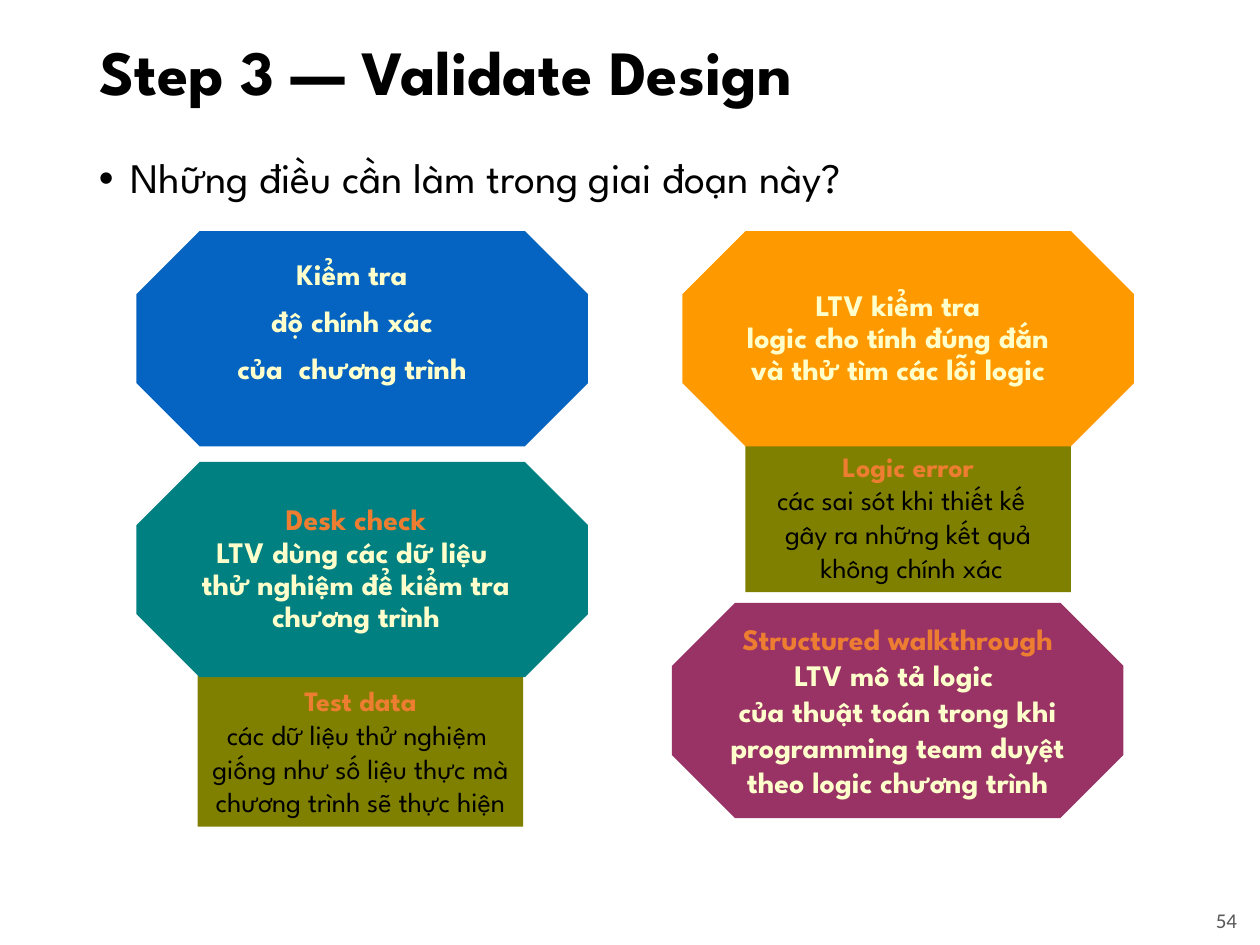
from dataclasses import dataclass

from lxml.etree import SubElement
from pptx import Presentation
from pptx.dml.color import RGBColor
from pptx.enum.shapes import MSO_SHAPE as Shape
from pptx.enum.text import MSO_ANCHOR as Anchor, MSO_AUTO_SIZE as AutoSize, PP_ALIGN as Align
from pptx.oxml.ns import qn
from pptx.util import Pt


@dataclass(frozen=True)
class Theme:
    font: str = "League Spartan"
    number_font: str = "Calibri"
    title_size: int = 36
    question_size: int = 24
    step_size: int = 17
    note_size: int = 16
    number_size: int = 12
    ink: str = "000000"
    grey: str = "595959"
    cream: str = "FFFFCC"
    term: str = "ED7D31"
    note_fill: str = "808000"
    blue: str = "0563C1"
    orange: str = "FF9900"
    teal: str = "008080"
    plum: str = "993366"


THEME = Theme()
STEP_SIZE = (258, 123)
NOTE_SIZE = (186, 86.4)
CORNER = 0.293
TIGHT = 0.9

TITLE = "Step 3 — Validate Design"
QUESTION = "Những điều cần làm trong giai đoạn này?"
PAGE_NUMBER = "54"

NOTES = [
    {"at": (426, 252), "term": "Logic error",
     "lines": ["các sai sót khi thiết kế  ", "gây ra những kết quả", " không chính xác"]},
    {"at": (113, 386), "term": "Test data",
     "lines": ["các dữ liệu thử nghiệm ",
               "giống như số liệu thực mà chương trình sẽ thực hiện"]},
]

STEPS = [
    {"at": (78, 132), "fill": THEME.blue, "insets": (0, 0, 7.2, 18), "gap": 8.5,
     "lines": ["Kiểm tra ", "độ chính xác ", "của  chương trình "]},
    {"at": (390, 132), "fill": THEME.orange, "insets": (0, 0, 7.2, 0),
     "lines": ["LTV kiểm tra ", "logic cho tính đúng đắn ", "và thử tìm các lỗi logic "]},
    {"at": (78, 264), "fill": THEME.teal, "insets": (0, 0, 7.2, 0), "term": "Desk check",
     "lines": ["LTV dùng các dữ liệu ", "thử nghiệm để kiểm tra chương trình"]},
    {"at": (384, 344.5), "fill": THEME.plum, "insets": (0, 0, 0, 0), "spacing": 1.0,
     "term": "Structured walkthrough",
     "lines": ["LTV mô tả logic ",
               "của thuật toán trong khi programming team duyệt theo logic chương trình"]},
]


def style(run, size, color, bold=False, font=THEME.font):
    run.font.name = font
    run.font.size = Pt(size)
    run.font.bold = bold
    run.font.color.rgb = RGBColor.from_string(color)


def place(shape, left, top, width, height):
    shape.left, shape.top = Pt(left), Pt(top)
    shape.width, shape.height = Pt(width), Pt(height)


def write_line(shape, text, size, color, anchor, align, **look):
    frame = shape.text_frame
    frame.text = text
    frame.word_wrap = True
    frame.auto_size = AutoSize.NONE
    frame.vertical_anchor = anchor
    line = frame.paragraphs[0]
    line.alignment = align
    style(line.runs[0], size, color, **look)
    return line


def add_bullet(line, indent):
    properties = line._p.get_or_add_pPr()
    properties.set("marL", str(Pt(indent)))
    properties.set("indent", str(-Pt(indent)))
    SubElement(properties, qn("a:buFont"), typeface="Arial")
    SubElement(properties, qn("a:buChar"), char="•")


def add_box(slide, kind, box, size, fill, text_size, text_color, bold, spacing):
    shape = slide.shapes.add_shape(kind, *map(Pt, box["at"] + size))
    shape.shadow.inherit = False
    shape.fill.solid()
    shape.fill.fore_color.rgb = RGBColor.from_string(fill)
    shape.line.fill.background()

    frame = shape.text_frame
    frame.word_wrap = True
    frame.vertical_anchor = Anchor.MIDDLE
    term = box.get("term")
    separator = "\n" if "gap" in box else "\v"
    frame.text = separator.join(([term] if term else []) + box["lines"])
    for index, paragraph in enumerate(frame.paragraphs):
        paragraph.alignment = Align.CENTER
        paragraph.line_spacing = spacing
        if index:
            paragraph.space_before = Pt(box["gap"])
        for run in paragraph.runs:
            is_term = run.text == term
            style(run, text_size, THEME.term if is_term else text_color, bold or is_term)
    return shape


def add_note(slide, note):
    add_box(slide, Shape.RECTANGLE, note, NOTE_SIZE, THEME.note_fill,
            THEME.note_size, THEME.ink, False, 1.0)


def add_step(slide, step):
    octagon = add_box(slide, Shape.OCTAGON, step, STEP_SIZE, step["fill"],
                      THEME.step_size, THEME.cream, True, step.get("spacing", TIGHT))
    octagon.adjustments[0] = CORNER
    frame = octagon.text_frame
    (frame.margin_left, frame.margin_top,
     frame.margin_right, frame.margin_bottom) = map(Pt, step["insets"])


def main():
    deck = Presentation()
    deck.slide_width, deck.slide_height = Pt(720), Pt(540)
    slide = deck.slides.add_slide(deck.slide_layouts[5])

    title = slide.shapes.title
    place(title, 49.5, 11.5, 621, 62.5)
    heading = write_line(title, TITLE, THEME.title_size, THEME.ink,
                         Anchor.MIDDLE, Align.LEFT, bold=True)
    heading.line_spacing = TIGHT

    question = slide.shapes.add_textbox(Pt(49.5), Pt(86.4), Pt(621), Pt(392.4))
    bullet = write_line(question, QUESTION, THEME.question_size, THEME.ink,
                        Anchor.TOP, Align.LEFT)
    bullet.line_spacing = TIGHT
    add_bullet(bullet, 18)

    number = slide.shapes.add_textbox(Pt(624), Pt(511), Pt(90), Pt(29))
    write_line(number, PAGE_NUMBER, THEME.number_size, THEME.grey,
               Anchor.MIDDLE, Align.RIGHT, font=THEME.number_font)

    for note in NOTES:
        add_note(slide, note)
    for step in STEPS:
        add_step(slide, step)

    deck.save("out.pptx")


if __name__ == "__main__":
    main()
